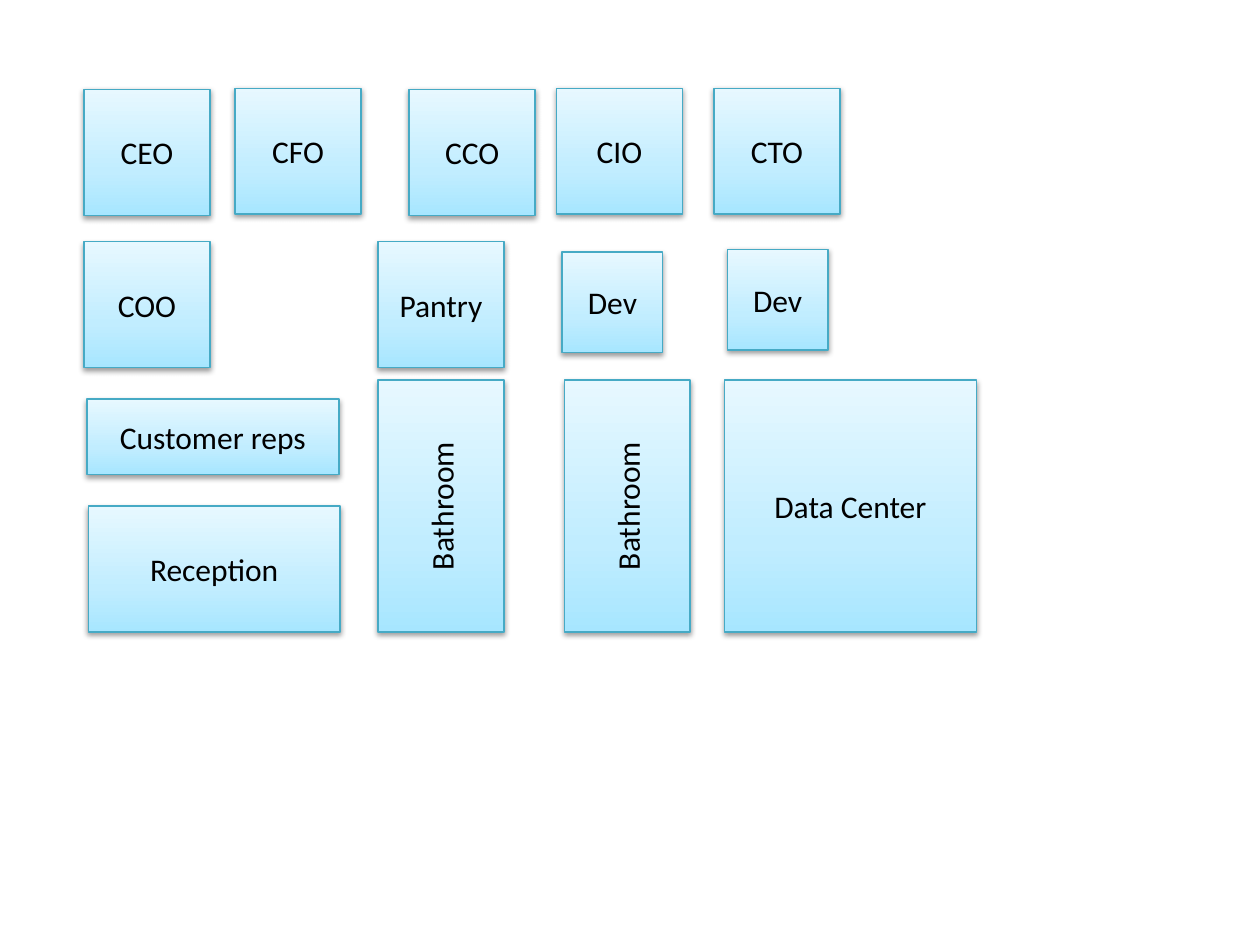
import copy
import pptx
import pptx.util
import pptx.dml.color
import pptx.enum.shapes
import pptx.enum.text
import pptx.oxml
import pptx.oxml.ns

Pt = pptx.util.Pt
qn = pptx.oxml.ns.qn
OFFICE = 72
DESK = 57.6
STOPS = [(0, "A7E6FF"), (0.35, "C1EDFF"), (1, "E7F8FF")]
FONT = {"name": "Calibri", "size": Pt(18)}
FRAME = {"word_wrap": True, "vertical_anchor": pptx.enum.text.MSO_ANCHOR.MIDDLE}
SHADOW = (
    '<a:outerShdw xmlns:a="http://schemas.openxmlformats.org/drawingml/2006/main" '
    'blurRad="40000" dist="20000" dir="5400000" rotWithShape="0">'
    '<a:srgbClr val="000000"><a:alpha val="38000"/></a:srgbClr></a:outerShdw>'
)


def rgb(value):
    return pptx.dml.color.RGBColor.from_string(value)


def set_format(target, values):
    for name, value in values.items():
        setattr(target, name, value)


def style_box(sp):
    sp.fill.gradient()
    sp.fill.gradient_angle = 90
    stops = sp._element.spPr.find(".//" + qn("a:gsLst"))
    stops.insert(1, copy.deepcopy(stops[0]))
    for stop, (position, color) in zip(sp.fill.gradient_stops, STOPS):
        stop.position = position
        stop.color.rgb = rgb(color)
    sp.line.color.rgb = rgb("46AAC5")
    sp.line.width = Pt(0.75)
    sp.shadow.inherit = False
    effects = sp._element.spPr.find(qn("a:effectLst"))
    effects.append(pptx.oxml.parse_xml(SHADOW))


def add_room(s, label, x, y, w, h, upright=False):
    sp = s.shapes.add_shape(pptx.enum.shapes.MSO_SHAPE.RECTANGLE, Pt(x), Pt(y), Pt(w), Pt(h))
    style_box(sp)
    tf = sp.text_frame
    set_format(tf, FRAME)
    if upright:
        tf._txBody.bodyPr.set("vert", "vert270")
    p = tf.paragraphs[0]
    p.alignment = pptx.enum.text.PP_ALIGN.CENTER
    r = p.add_run()
    r.text = label
    set_format(r.font, FONT)
    r.font.color.rgb = rgb("000000")


def add_executives(s, left, top):
    offices = [("CEO", 0, 0.7), ("CFO", 86.4, 0), ("CCO", 185.8, 0.7),
               ("CIO", 270, 0), ("CTO", 360, 0)]
    for label, dx, dy in offices:
        add_room(s, label, left + dx, top + dy, OFFICE, OFFICE)


def add_front_office(s, left, top):
    add_room(s, "COO", left, top, OFFICE, OFFICE)
    add_room(s, "Customer reps", left + 1.7, top + 90, 2 * OFFICE, 43.2)
    add_room(s, "Reception", left + 2.4, top + 151.2, 2 * OFFICE, OFFICE)


def add_back_office(s, left, top):
    add_room(s, "Pantry", left, top, OFFICE, OFFICE)
    for dx, dy in [(105.2, 6), (199.6, 4.4)]:
        add_room(s, "Dev", left + dx, top + dy, DESK, DESK)
    for dx in (0, 106.4):
        add_room(s, "Bathroom", left + dx, top + 79.2, OFFICE, 2 * OFFICE, upright=True)
    add_room(s, "Data Center", left + 198, top + 79.2, 2 * OFFICE, 2 * OFFICE)


prs = pptx.Presentation()
prs.slide_width, prs.slide_height = Pt(720), Pt(540)
s = prs.slides.add_slide(prs.slide_layouts[6])
add_executives(s, 48, 50.4)
add_front_office(s, 48, 138)
add_back_office(s, 216, 138)
prs.save("out.pptx")
